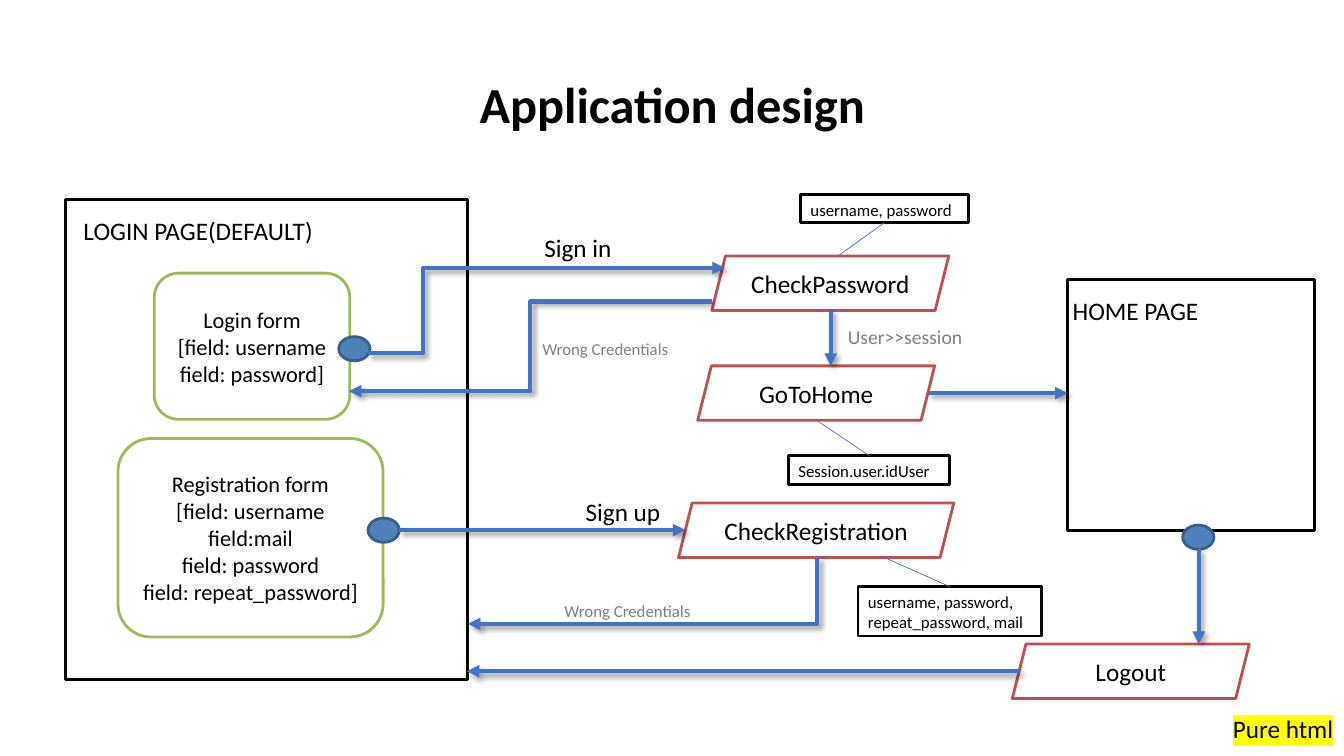
from copy import deepcopy

from lxml import etree
from pptx import Presentation
from pptx.dml.color import RGBColor
from pptx.enum.shapes import MSO_CONNECTOR, MSO_SHAPE
from pptx.enum.text import MSO_ANCHOR, MSO_AUTO_SIZE, PP_ALIGN
from pptx.oxml.ns import qn
from pptx.util import Inches, Pt

RECT = MSO_SHAPE.RECTANGLE
ROUND = MSO_SHAPE.ROUNDED_RECTANGLE
SLANTED = MSO_SHAPE.PARALLELOGRAM
OVAL = MSO_SHAPE.OVAL
STRAIGHT = MSO_CONNECTOR.STRAIGHT
ELBOW = MSO_CONNECTOR.ELBOW
LEFT, CENTER = PP_ALIGN.LEFT, PP_ALIGN.CENTER
TOP, MIDDLE = MSO_ANCHOR.TOP, MSO_ANCHOR.MIDDLE

COLORS = {
    "black": "000000", "white": "FFFFFF", "gray": "808080", "yellow": "FFFF00",
    "green": "9BBB59", "red": "C0504D", "port": "4F81BD", "port_edge": "395E89",
    "arrow": "4472C4",
}


def rgb(name):
    return RGBColor.from_string(COLORS[name])


def child(parent, tag, **attrs):
    return etree.SubElement(parent, qn(tag), {k: str(v) for k, v in attrs.items()})


def write(tf, text, size=18, color="black", bold=False, align=LEFT,
          anchor=TOP, spacing=None, highlight=None, font="Calibri"):
    tf.vertical_anchor = anchor
    for i, line in enumerate(text.split("\n")):
        p = tf.paragraphs[0] if i == 0 else tf.add_paragraph()
        p.text = line
        p.alignment = align
        if spacing:
            p.line_spacing = spacing
        for r in p.runs:
            r.font.size = Pt(size)
            r.font.name = font
            r.font.bold = bold
            r.font.color.rgb = rgb(color)
            if highlight:
                mark = etree.Element(qn("a:highlight"))
                child(mark, "a:srgbClr", val=COLORS[highlight])
                r._r.rPr.find(qn("a:solidFill")).addnext(mark)
        for br in p._p.findall(qn("a:br")):
            br.append(deepcopy(p.runs[0]._r.rPr))


class Diagram:
    edge = 2
    arrow_width = 3
    link_width = 0.5

    def __init__(self, s):
        self.s = s

    def text(self, x, y, w, h, text, wrap=False, **fmt):
        tf = self.s.shapes.add_textbox(*map(Inches, (x, y, w, h))).text_frame
        tf.word_wrap = wrap
        if not wrap:
            tf.auto_size = MSO_AUTO_SIZE.SHAPE_TO_FIT_TEXT
        write(tf, text, **fmt)

    def shape(self, kind, x, y, w, h, line, text="", fill="white", width=None, **fmt):
        sp = self.s.shapes.add_shape(kind, *map(Inches, (x, y, w, h)))
        sp.shadow.inherit = False
        if fill:
            sp.fill.solid()
            sp.fill.fore_color.rgb = rgb(fill)
        else:
            sp.fill.background()
        sp.line.color.rgb = rgb(line)
        sp.line.width = Pt(width or self.edge)
        if text:
            sp.text_frame.word_wrap = True
            write(sp.text_frame, text, **fmt)

    def page(self, x, y, w, h):
        self.shape(RECT, x, y, w, h, "black", fill=None, width=2.25)

    def form(self, x, y, w, h, text):
        self.shape(ROUND, x, y, w, h, "green", text, size=16, align=CENTER, anchor=MIDDLE)

    def action(self, x, y, w, text):
        self.shape(SLANTED, x, y, w, 0.54, "red", text, align=CENTER, anchor=MIDDLE)

    def params(self, x, y, w, h, text):
        self.shape(RECT, x, y, w, h, "black", text, size=12)

    def port(self, x, y):
        self.shape(OVAL, x, y, 0.31, 0.24, "port_edge", fill="port")

    def link(self, x1, y1, x2, y2, kind=STRAIGHT, width=None):
        c = self.s.shapes.add_connector(kind, *map(Inches, (x1, y1, x2, y2)))
        c.line.color.rgb = rgb("arrow")
        c.line.width = Pt(width or self.link_width)
        child(c._element.spPr, "a:effectLst")
        return c

    def arrow(self, x1, y1, x2, y2, kind=STRAIGHT, bend=None):
        c = self.link(x1, y1, x2, y2, kind, self.arrow_width)
        spPr = c._element.spPr
        child(spPr.find(qn("a:ln")), "a:tailEnd", type="triangle")
        shadow = child(spPr.find(qn("a:effectLst")), "a:outerShdw", blurRad=Pt(4),
                       dist=Pt(3), dir=45 * 60000, algn="tl", rotWithShape=0)
        child(child(shadow, "a:srgbClr", val=COLORS["black"]), "a:alpha", val=40000)
        if bend:
            guides = spPr.find(qn("a:prstGeom")).get_or_add_avLst()
            child(guides, "a:gd", name="adj1", fmla=f"val {round(bend * 100000)}")
        return c

    def arrow_down_left(self, x1, y1, x2, y2):
        w, h = y2 - y1, x1 - x2
        x, y = (x1 + x2 - w) / 2, (y1 + y2 - h) / 2
        spPr = self.arrow(x, y, x + w, y + h, ELBOW)._element.spPr
        spPr.find(qn("a:prstGeom")).set("prst", "bentConnector2")
        spPr.find(qn("a:xfrm")).set("rot", str(90 * 60000))


def main():
    prs = Presentation()
    prs.slide_width, prs.slide_height = Inches(13.33), Inches(7.5)
    d = Diagram(prs.slides.add_slide(prs.slide_layouts[6]))

    d.text(0.92, 0.34, 11.5, 1.45, "Application design", wrap=True, size=36,
           bold=True, align=CENTER, anchor=MIDDLE, spacing=0.9)
    d.text(12.13, 7.03, 1.21, 0.4, "Pure html", highlight="yellow")

    d.page(0.65, 1.98, 3.99, 4.76)
    d.page(10.59, 2.77, 2.45, 2.49)
    d.text(0.73, 2.09, 2.5, 0.4, "LOGIN PAGE(DEFAULT)")
    d.text(10.54, 2.88, 1.46, 0.4, "HOME PAGE")

    d.form(1.53, 2.71, 1.94, 1.45, "Login form\v[field: username\nfield: password]")
    d.form(1.17, 4.35, 2.63, 1.97,
           "Registration form\v[field: username\nfield:mail\n"
           "field: password\nfield: repeat_password]")

    for x, y, w, name in [
        (7.06, 2.54, 2.35, "CheckPassword"),
        (6.92, 3.63, 2.35, "GoToHome"),
        (6.73, 4.99, 2.73, "CheckRegistration"),
        (10.04, 6.39, 2.35, "Logout"),
    ]:
        d.action(x, y, w, name)

    for x, y in [(3.36, 3.34), (3.65, 5.14), (11.73, 5.21)]:
        d.port(x, y)

    d.arrow(3.65, 3.5, 7.19, 2.66, ELBOW, bend=0.154)
    d.arrow(7.06, 2.99, 3.46, 3.88, ELBOW)
    d.arrow_down_left(8.1, 5.53, 4.64, 6.19)
    for ends in [
        (8.24, 3.08, 8.24, 3.63),
        (9.21, 3.9, 10.59, 3.9),
        (11.89, 5.45, 11.89, 6.39),
        (10.11, 6.66, 4.63, 6.66),
        (3.96, 5.26, 6.8, 5.26),
    ]:
        d.arrow(*ends)

    d.params(7.94, 1.93, 1.67, 0.28, "username, password")
    d.params(7.82, 4.52, 1.6, 0.29, "Session.user.idUser")
    d.params(8.51, 5.82, 1.82, 0.49, "username, password,\nrepeat_password, mail")
    for ends in [
        (8.77, 2.21, 8.31, 2.54),
        (8.1, 4.17, 8.62, 4.52),
        (9.42, 5.82, 8.77, 5.53),
    ]:
        d.link(*ends)

    d.text(5.3, 2.26, 0.88, 0.4, "Sign in")
    d.text(5.71, 4.87, 0.95, 0.4, "Sign up")
    d.text(8.31, 3.17, 1.35, 0.34, "User>>session", size=14, color="gray")
    for x, y in [(5.28, 3.31), (5.5, 5.91)]:
        d.text(x, y, 1.45, 0.3, "Wrong Credentials", size=12, color="gray")

    prs.save("out.pptx")


if __name__ == "__main__":
    main()
